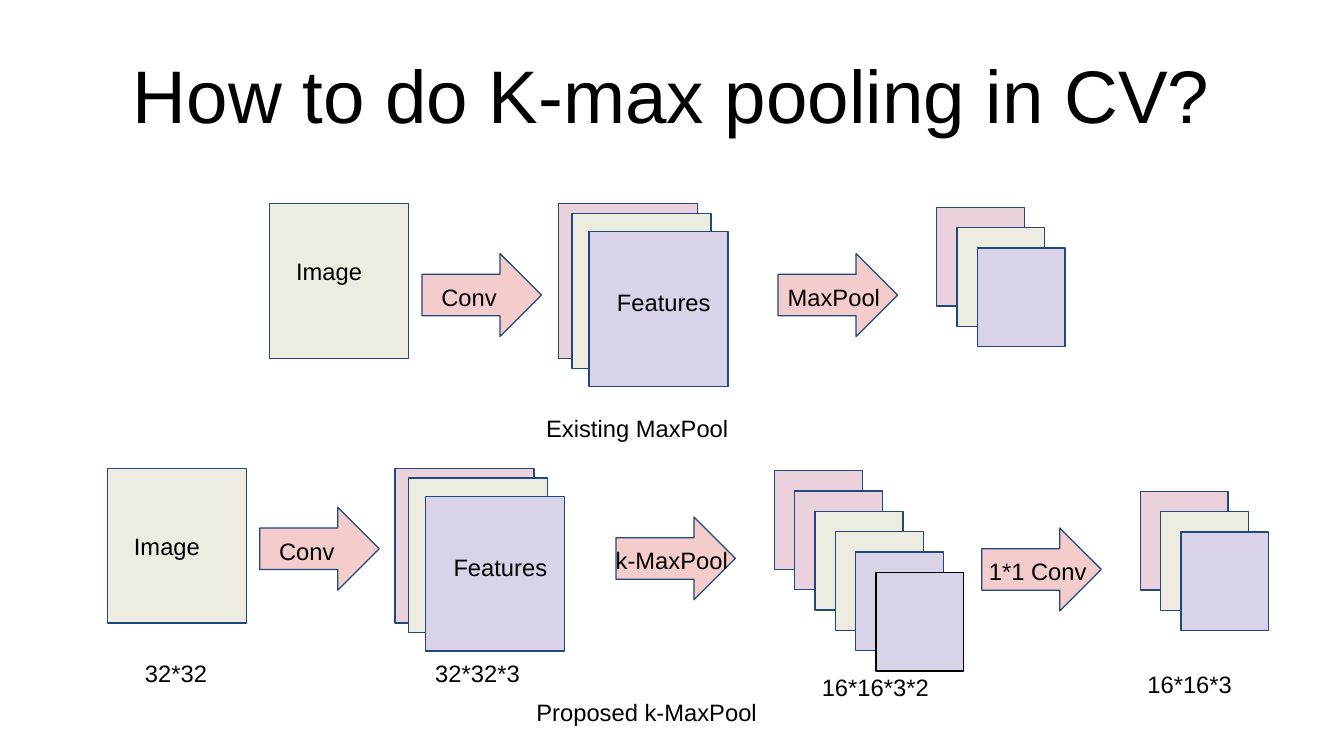
import pptx
import pptx.dml.color
import pptx.enum.shapes
import pptx.enum.text
import pptx.util

Inches = pptx.util.Inches
Pt = pptx.util.Pt
SHAPES = pptx.enum.shapes.MSO_SHAPE
ANCHOR = pptx.enum.text.MSO_ANCHOR
ALIGN = pptx.enum.text.PP_ALIGN

TITLE = "How to do K-max pooling in CV?"
BLACK, NAVY = "000000", "1F497D"
PINK, CREAM, LILAC, ROSE = "EAD1DC", "EEECE1", "D9D2E9", "F4CCCC"
CHANNELS = [PINK, CREAM, LILAC]

LARGE, SMALL, ARROW = (1.14, 1.27), (0.72, 0.81), (0.98, 0.68)
FEATURE_OFFSETS = [(0, 0), (0.11, 0.08), (0.25, 0.23)]
POOLED_OFFSETS = [(i / 6, i / 6) for i in range(6)]

# left, top, size of a map, offsets, fills from back to front
STACKS = [
    (2.21, 1.67, LARGE, FEATURE_OFFSETS, [CREAM]),
    (4.58, 1.67, LARGE, FEATURE_OFFSETS, CHANNELS),
    (7.68, 1.70, SMALL, POOLED_OFFSETS, CHANNELS),
    (0.88, 3.84, LARGE, FEATURE_OFFSETS, [CREAM]),
    (3.24, 3.84, LARGE, FEATURE_OFFSETS, CHANNELS),
    (6.35, 3.86, SMALL, POOLED_OFFSETS, [PINK, PINK, CREAM, CREAM, LILAC, LILAC]),
    (9.35, 4.03, SMALL, POOLED_OFFSETS, CHANNELS),
]
# arrow left and top, label, label left and width
STEPS = [
    (3.46, 2.08, "Conv", 3.52, 0.72),
    (6.38, 2.08, "MaxPool", 6.36, 0.98),
    (2.13, 4.16, "Conv", 2.19, 0.72),
    (5.05, 4.24, "k-MaxPool", 4.95, 1.14),
    (8.05, 4.33, "1*1 Conv", 8.01, 1.20),
]
# text, left, top, width, height
LABELS = [
    ("Image", 2.33, 2.01, 0.83, 0.49),
    ("Image", 1.00, 4.26, 0.83, 0.49),
    ("Features", 4.96, 2.26, 1.01, 0.44),
    ("Features", 3.62, 4.43, 1.01, 0.44),
    ("Existing MaxPool", 4.38, 3.29, 2.46, 0.28),
    ("Proposed k-MaxPool", 4.30, 5.62, 2.46, 0.28),
    ("32*32", 1.09, 5.31, 0.80, 0.19),
    ("32*32*3", 3.47, 5.31, 1.01, 0.19),
    ("16*16*3*2", 6.64, 5.42, 1.14, 0.19),
    ("16*16*3", 9.31, 5.40, 1.14, 0.19),
]


def rgb(hex_color):
    return pptx.dml.color.RGBColor.from_string(hex_color)


def write(holder, text, size=14, align=ALIGN.LEFT, anchor=ANCHOR.TOP, inset=0.1):
    frame = holder.text_frame
    frame.word_wrap = True
    frame.auto_size = pptx.enum.text.MSO_AUTO_SIZE.NONE
    frame.vertical_anchor = anchor
    frame.margin_left = frame.margin_right = Inches(inset)
    frame.margin_top = frame.margin_bottom = Inches(inset)
    frame.text = text
    paragraph = frame.paragraphs[0]
    paragraph.alignment = align
    font = paragraph.runs[0].font
    font.name, font.size = "Arial", Pt(size)
    font.color.rgb = rgb(BLACK)


def add_label(slide, text, left, top, width, height):
    box = slide.shapes.add_textbox(*map(Inches, (left, top, width, height)))
    write(box, text)


def add_outlined(slide, kind, left, top, size, fill, line=NAVY):
    shape = slide.shapes.add_shape(kind, *map(Inches, (left, top, *size)))
    shape.shadow.inherit = False
    shape.fill.solid()
    shape.fill.fore_color.rgb = rgb(fill)
    shape.line.color.rgb = rgb(line)
    shape.line.width = Pt(0.75)


def main():
    deck = pptx.Presentation()
    deck.slide_width, deck.slide_height = Inches(11.02), Inches(6.2)
    slide = deck.slides.add_slide(deck.slide_layouts[5])

    title = slide.shapes.title
    title.left, title.top = Inches(0.55), Inches(0.25)
    title.width, title.height = Inches(9.92), Inches(1.04)
    write(title, TITLE, size=44, align=ALIGN.CENTER, anchor=ANCHOR.MIDDLE, inset=0)

    for left, top, size, offsets, fills in STACKS:
        for i, ((dx, dy), fill) in enumerate(zip(offsets, fills)):
            line = BLACK if i == 5 else NAVY  # the sixth map is outlined in black
            add_outlined(slide, SHAPES.RECTANGLE, left + dx, top + dy, size, fill, line)

    for left, top, text, text_left, text_width in STEPS:
        add_outlined(slide, SHAPES.RIGHT_ARROW, left, top, ARROW, ROSE)
        add_label(slide, text, text_left, top + 0.14, text_width, 0.29)

    for label in LABELS:
        add_label(slide, *label)

    deck.save("out.pptx")


if __name__ == "__main__":
    main()
